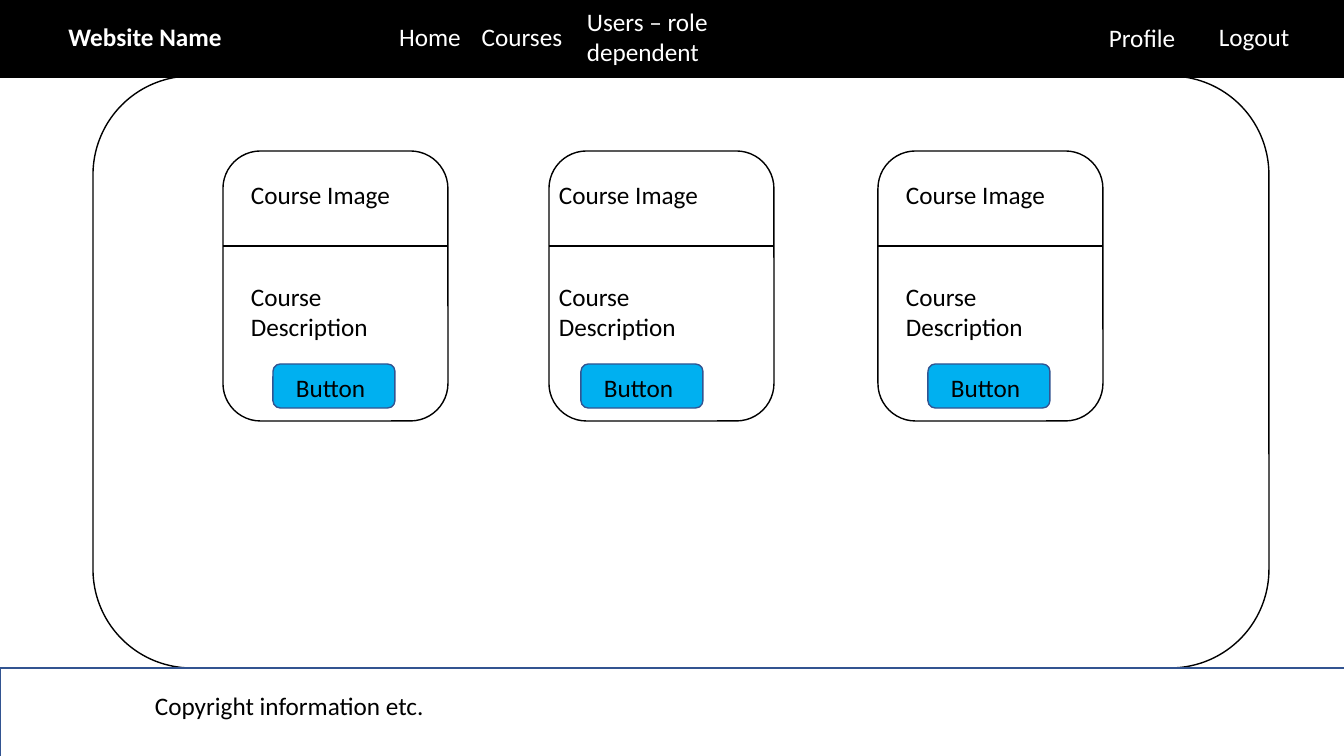
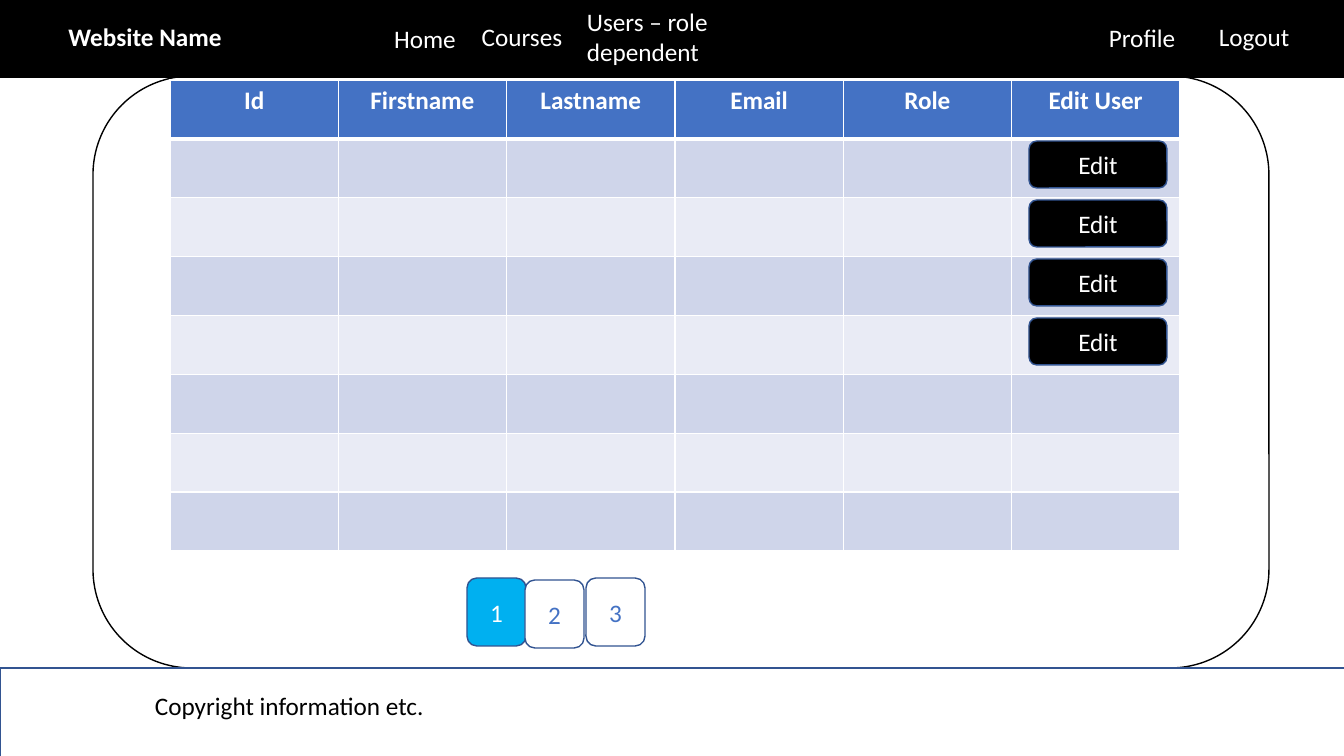
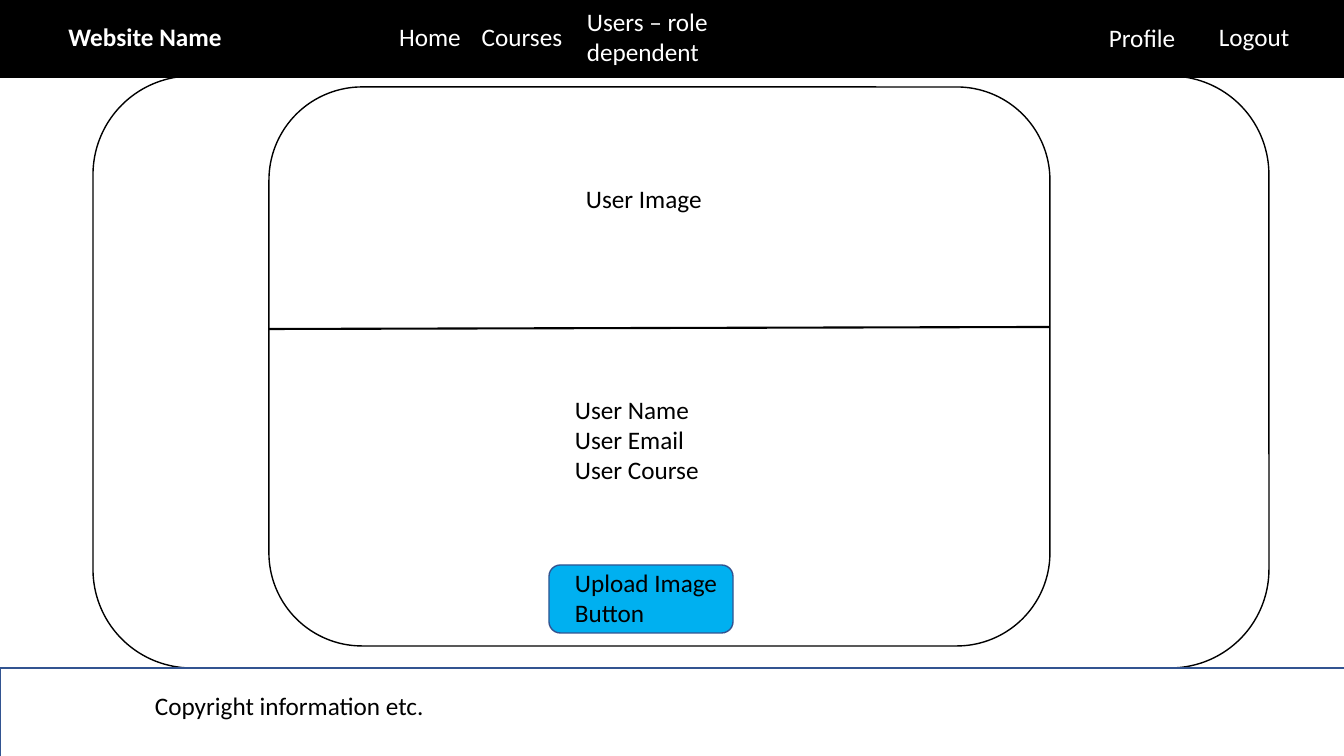
from dataclasses import dataclass
from typing import NamedTuple, Optional

import lxml.etree
import pptx
import pptx.dml.color
import pptx.enum.shapes
import pptx.enum.text
import pptx.oxml.ns
import pptx.presentation
import pptx.shapes.autoshape
import pptx.slide
import pptx.table
import pptx.text.text
import pptx.util

SLIDE_WIDTH, SLIDE_HEIGHT = 1344, 756
EMU_PER_PX = 12192000 / SLIDE_WIDTH
FONT, FONT_SIZE = "Calibri", 18
COLORS = {
    "black": "000000",
    "white": "FFFFFF",
    "outline": "325491",
    "accent": "00B0F0",
    "blue": "4472C4",
    "band_dark": "CFD5EA",
    "band_light": "E9EBF5",
}
RECT = pptx.enum.shapes.MSO_SHAPE.RECTANGLE
ROUNDED = pptx.enum.shapes.MSO_SHAPE.ROUNDED_RECTANGLE
LEFT = pptx.enum.text.PP_ALIGN.LEFT
CENTER = pptx.enum.text.PP_ALIGN.CENTER


class Box(NamedTuple):
    left: int
    top: int
    width: int
    height: int


@dataclass(frozen=True)
class Label:
    text: str
    box: Box
    color: str = "black"
    align: pptx.enum.text.PP_ALIGN = LEFT
    bold: bool = False


@dataclass(frozen=True)
class CourseCard:
    left: int
    content_left: int


@dataclass(frozen=True)
class PageButton:
    number: str
    left: int
    top: int
    fill: str
    color: str


# Shared header and footer
PANEL = Box(93, 76, 1176, 592)
HEADER = Box(0, -3, SLIDE_WIDTH, 80)
FOOTER = Box(0, 668, 1352, 97)
SITE_LABELS = [
    Label("Website Name", Box(0, 16, 290, 40), "white", CENTER, bold=True),
    Label("Courses", Box(467, 16, 110, 40), "white", CENTER),
    Label("Users – role dependent", Box(577, 1, 143, 71), "white"),
    Label("Profile", Box(1099, 17, 110, 40), "white"),
    Label("Logout", Box(1209, 16, 110, 40), "white"),
    Label("Copyright information etc.", Box(145, 685, 954, 40)),
]

# Course overview
COURSE_CARDS = [CourseCard(223, 241), CourseCard(549, 549), CourseCard(878, 896)]

# User list
USER_TABLE = Box(170, 80, 1010, 471)
USER_COLUMNS = ["Id", "Firstname", "Lastname", "Email", "Role", "Edit User"]
USER_ROWS = 8
EDIT_BUTTONS = [Box(1029, 141 + 59 * row, 138, 47) for row in range(4)]
PAGE_BUTTONS = [
    PageButton("1", 467, 578, "accent", "white"),
    PageButton("2", 525, 580, "white", "blue"),
    PageButton("3", 586, 578, "white", "blue"),
]


def emu(px: int) -> int:
    return round(px * EMU_PER_PX)


def rgb(color: str) -> pptx.dml.color.RGBColor:
    return pptx.dml.color.RGBColor.from_string(COLORS[color])


def write(frame: pptx.text.text.TextFrame, text: str, color: str,
          align: pptx.enum.text.PP_ALIGN, bold: bool = False) -> None:
    frame.text = text
    for paragraph in frame.paragraphs:
        paragraph.alignment = align
        paragraph.font.name = FONT
        paragraph.font.size = pptx.util.Pt(FONT_SIZE)
        paragraph.font.bold = bold
        paragraph.font.color.rgb = rgb(color)


def draw_label(slide: pptx.slide.Slide, label: Label) -> None:
    frame = slide.shapes.add_textbox(*map(emu, label.box)).text_frame
    frame.word_wrap = True
    frame.auto_size = pptx.enum.text.MSO_AUTO_SIZE.SHAPE_TO_FIT_TEXT
    write(frame, label.text, label.color, label.align, label.bold)


def draw_shape(slide: pptx.slide.Slide, preset: pptx.enum.shapes.MSO_SHAPE, box: Box,
               fill: Optional[str], line: str) -> pptx.shapes.autoshape.Shape:
    shape = slide.shapes.add_shape(preset, *map(emu, box))
    shape.shadow.inherit = False
    if fill:
        shape.fill.solid()
        shape.fill.fore_color.rgb = rgb(fill)
    else:
        shape.fill.background()
    shape.line.color.rgb = rgb(line)
    shape.line.width = pptx.util.Pt(1)
    return shape


def draw_button(slide: pptx.slide.Slide, text: str, box: Box, fill: str, color: str) -> None:
    button = draw_shape(slide, ROUNDED, box, fill, "outline")
    button.text_frame.vertical_anchor = pptx.enum.text.MSO_ANCHOR.MIDDLE
    write(button.text_frame, text, color, CENTER)


def draw_divider(slide: pptx.slide.Slide, left: int, start_y: int,
                 right: int, end_y: int) -> None:
    divider = slide.shapes.add_connector(
        pptx.enum.shapes.MSO_CONNECTOR.STRAIGHT, *map(emu, (left, start_y, right, end_y)))
    divider.line.color.rgb = rgb("black")
    divider.line.width = pptx.util.Pt(1.5)
    lxml.etree.SubElement(divider._element.spPr, pptx.oxml.ns.qn("a:effectLst"))


def add_site_slide(deck: pptx.presentation.Presentation,
                   home_left: int = 375, home_top: int = 16) -> pptx.slide.Slide:
    slide = deck.slides.add_slide(deck.slide_layouts[6])
    draw_shape(slide, ROUNDED, PANEL, None, "black")
    draw_shape(slide, RECT, HEADER, "black", "black")
    draw_shape(slide, RECT, FOOTER, None, "outline")
    home = Label("Home", Box(home_left, home_top, 110, 40), "white", CENTER)
    for label in [*SITE_LABELS, home]:
        draw_label(slide, label)
    return slide


def draw_course_card(slide: pptx.slide.Slide, card: CourseCard) -> None:
    outline = Box(card.left, 151, 225, 270)
    draw_shape(slide, ROUNDED, outline, "white", "black")
    draw_divider(slide, card.left, 246, card.left + outline.width, 246)
    x = card.content_left
    draw_shape(slide, ROUNDED, Box(x + 32, 364, 122, 44), "accent", "outline")
    draw_label(slide, Label("Course Image", Box(x, 174, 190, 40)))
    draw_label(slide, Label("Course Description", Box(x, 276, 190, 71)))
    draw_label(slide, Label("Button", Box(x + 45, 367, 94, 40)))


def style_cell(cell: pptx.table._Cell, fill: str, top: float, bottom: float) -> None:
    properties = cell._tc.get_or_add_tcPr()
    qn = pptx.oxml.ns.qn
    for side, points in (("L", 1), ("R", 1), ("T", top), ("B", bottom)):
        border = lxml.etree.SubElement(
            properties, qn(f"a:ln{side}"), w=str(pptx.util.Pt(points)))
        paint = lxml.etree.SubElement(border, qn("a:solidFill"))
        lxml.etree.SubElement(paint, qn("a:srgbClr"), val=COLORS["white"])
    cell.fill.solid()
    cell.fill.fore_color.rgb = rgb(fill)


def draw_user_table(slide: pptx.slide.Slide) -> None:
    users = slide.shapes.add_table(
        USER_ROWS, len(USER_COLUMNS), *map(emu, USER_TABLE)).table
    for column in users.columns:
        column.width = emu(USER_TABLE.width) // len(USER_COLUMNS)
    for index, row in enumerate(users.rows):
        row.height = emu(USER_TABLE.height) // USER_ROWS
        fill = "blue" if index == 0 else "band_dark" if index % 2 else "band_light"
        for cell in row.cells:
            style_cell(cell, fill, top=3 if index == 1 else 1, bottom=3 if index == 0 else 1)
    for cell, heading in zip(users.rows[0].cells, USER_COLUMNS):
        write(cell.text_frame, heading, "white", CENTER, bold=True)


def build_courses(deck: pptx.presentation.Presentation) -> None:
    slide = add_site_slide(deck)
    for card in COURSE_CARDS:
        draw_course_card(slide, card)


def build_users(deck: pptx.presentation.Presentation) -> None:
    slide = add_site_slide(deck, home_left=370, home_top=18)
    draw_user_table(slide)
    for box in EDIT_BUTTONS:
        draw_button(slide, "Edit", box, "black", "white")
    for page in PAGE_BUTTONS:
        draw_button(slide, page.number, Box(page.left, page.top, 59, 68), page.fill, page.color)


def build_profile(deck: pptx.presentation.Presentation) -> None:
    slide = add_site_slide(deck)
    profile = Box(269, 87, 781, 559)
    draw_shape(slide, ROUNDED, profile, "white", "black")
    draw_divider(slide, profile.left, 329, profile.left + profile.width, 327)
    draw_shape(slide, ROUNDED, Box(549, 565, 184, 68), "accent", "outline")
    draw_label(slide, Label("User Image", Box(576, 178, 168, 40)))
    draw_label(slide, Label("User Name\nUser Email\nUser Course", Box(565, 389, 190, 132)))
    draw_label(slide, Label("Upload Image Button", Box(565, 562, 168, 71)))


def main() -> None:
    deck = pptx.Presentation()
    deck.slide_width, deck.slide_height = emu(SLIDE_WIDTH), emu(SLIDE_HEIGHT)
    build_courses(deck)
    build_users(deck)
    build_profile(deck)
    deck.save("out.pptx")


if __name__ == "__main__":
    main()
